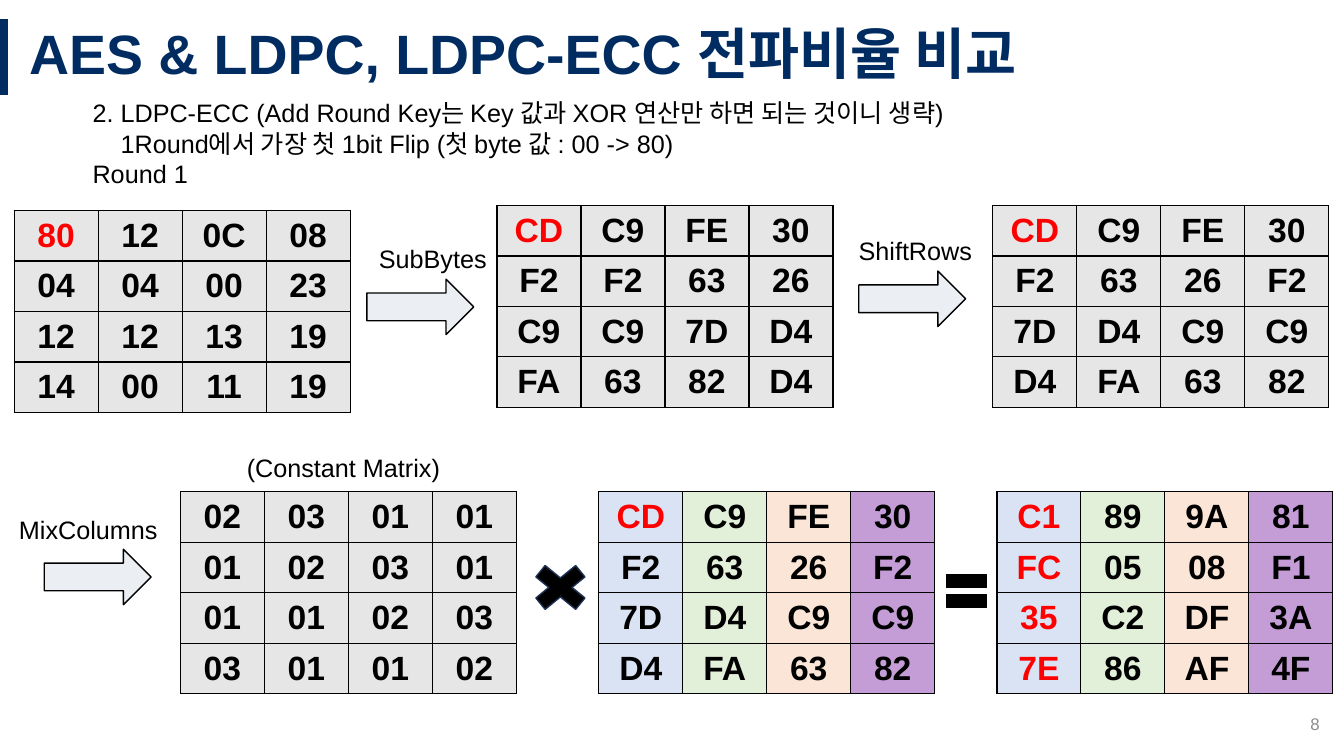
import pptx
import pptx.dml.color
import pptx.enum.shapes
import pptx.enum.text
import pptx.oxml
import pptx.oxml.ns
import pptx.oxml.xmlchemy
import pptx.util

Shape = pptx.enum.shapes.MSO_SHAPE
Align = pptx.enum.text.PP_ALIGN
Anchor = pptx.enum.text.MSO_ANCHOR

deck = pptx.Presentation()
deck.slide_width = pptx.util.Inches(13.33)
deck.slide_height = pptx.util.Inches(7.5)
page = deck.slides.add_slide(deck.slide_layouts[6])
unit = deck.slide_width / 160


def colour(value):
    return pptx.dml.color.RGBColor.from_string(value)


def write(frame, text, size=18, ink="000000", bold=False, align=Align.LEFT, spacing=1.0):
    frame.word_wrap = True
    for index, line in enumerate(text.split("\n")):
        para = frame.paragraphs[0] if index == 0 else frame.add_paragraph()
        para.alignment = align
        para.line_spacing = spacing
        span = para.add_run()
        span.text = line
        span.font.name = "Arial"
        span.font.size = pptx.util.Pt(size)
        span.font.bold = bold
        span.font.color.rgb = colour(ink)


title_bar = page.shapes.add_connector(
    pptx.enum.shapes.MSO_CONNECTOR.STRAIGHT,
    *[round(unit * step) for step in (0.48, 2.28, 0.48, 11.28)])
title_bar.line.color.rgb = colour("002C62")
title_bar.line.width = pptx.util.Pt(6)
title_bar._element.spPr.append(pptx.oxml.xmlchemy.OxmlElement("a:effectLst"))

introduction = "\n".join([
    "2. LDPC-ECC (Add Round Key는 Key 값과 XOR 연산만 하면 되는 것이니 생략)",
    "1Round에서 가장 첫 1bit Flip (첫 byte 값 : 00 -> 80)",
    "Round 1",
])
texts = [
    ((2.28, 2.28, 157.7, 9), "AES & LDPC, LDPC-ECC 전파비율 비교", Anchor.MIDDLE,
     dict(size=39.6, ink="002C62", bold=True, spacing=0.9)),
    ((122.28, 83.76, 36, 4.8), "8", Anchor.MIDDLE,
     dict(size=12, ink="8C8C8C", align=Align.RIGHT)),
    ((43.92, 28.44, 17.52, 4.8), "SubBytes", Anchor.TOP, {}),
    ((101.04, 27.48, 17.4, 4.8), "ShiftRows", Anchor.TOP, {}),
    ((1.08, 60.6, 21.84, 4.8), "MixColumns", Anchor.TOP, {}),
    ((28.2, 53.28, 28.92, 4.8), "(Constant Matrix)", Anchor.TOP, {}),
    ((9.84, 11.04, 123.6, 11.88), introduction, Anchor.TOP, {}),
]
for place, text, anchor, style in texts:
    box = page.shapes.add_textbox(*[round(unit * step) for step in place])
    box.text_frame.vertical_anchor = anchor
    write(box.text_frame, text, **style)

flip_line = box.text_frame.paragraphs[1]
flip_line._p.get_or_add_pPr().set("marL", str(int(pptx.util.Pt(20))))

symbols = [
    (Shape.RIGHT_ARROW, (43.68, 33.24, 12.72, 6.6), "EBEEF2", "000000"),
    (Shape.RIGHT_ARROW, (102.24, 32.28, 12.72, 6.6), "EBEEF2", "000000"),
    (Shape.RIGHT_ARROW, (5.28, 65.4, 12.72, 6.6), "EBEEF2", "000000"),
    (Shape.MATH_MULTIPLY, (62.16, 66.24, 9.12, 7.44), "000000", "1E3256"),
    (Shape.MATH_EQUAL, (111.84, 67.08, 6.48, 6.6), "000000", "000000"),
]
for kind, place, fill, outline in symbols:
    symbol = page.shapes.add_shape(kind, *[round(unit * step) for step in place])
    symbol.shadow.inherit = False
    symbol.fill.solid()
    symbol.fill.fore_color.rgb = colour(fill)
    symbol.line.color.rgb = colour(outline)
    symbol.line.width = pptx.util.Pt(1)

grey = ["E7E6E6"] * 4
column_tints = ["DAE3F3", "E2F0D9", "FBE5D6", "C49DD6"]
shifted = "CD C9 FE 30 F2 63 26 F2 7D D4 C9 C9 D4 FA 63 82"
matrices = [
    (1.68, 25.08, "80 12 0C 08 04 04 00 23 12 12 13 19 14 00 11 19", grey, 1),
    (59.16, 24.48, "CD C9 FE 30 F2 F2 63 26 C9 C9 7D D4 FA 63 82 D4", grey, 1),
    (118.2, 24.48, shifted, grey, 1),
    (21.48, 58.56, "02 03 01 01 01 02 03 01 01 01 02 03 03 01 01 02", grey, 0),
    (71.28, 58.56, shifted, column_tints, 1),
    (118.68, 58.56, "C1 89 9A 81 FC 05 08 F1 35 C2 DF 3A 7E 86 AF 4F", column_tints, 4),
]
for left, top, values, tints, red_rows in matrices:
    place = [round(unit * step) for step in (left, top, 40, 24)]
    matrix = page.shapes.add_table(4, 4, *place).table
    matrix.first_row = False
    matrix.horz_banding = False
    for index, value in enumerate(values.split()):
        row, column = divmod(index, 4)
        cell = matrix.cell(row, column)
        cell.vertical_anchor = Anchor.MIDDLE
        for side in ("a:lnL", "a:lnR", "a:lnT", "a:lnB"):
            border = pptx.oxml.parse_xml(
                f'<{side} {pptx.oxml.ns.nsdecls("a")} w="12700">'
                f'<a:solidFill><a:srgbClr val="000000"/></a:solidFill></{side}>')
            cell._tc.get_or_add_tcPr().append(border)
        cell.fill.solid()
        cell.fill.fore_color.rgb = colour(tints[column])
        changed = column == 0 and row < red_rows
        write(cell.text_frame, value, size=24, bold=True, align=Align.CENTER,
              ink="FF0000" if changed else "000000")

deck.save("out.pptx")
